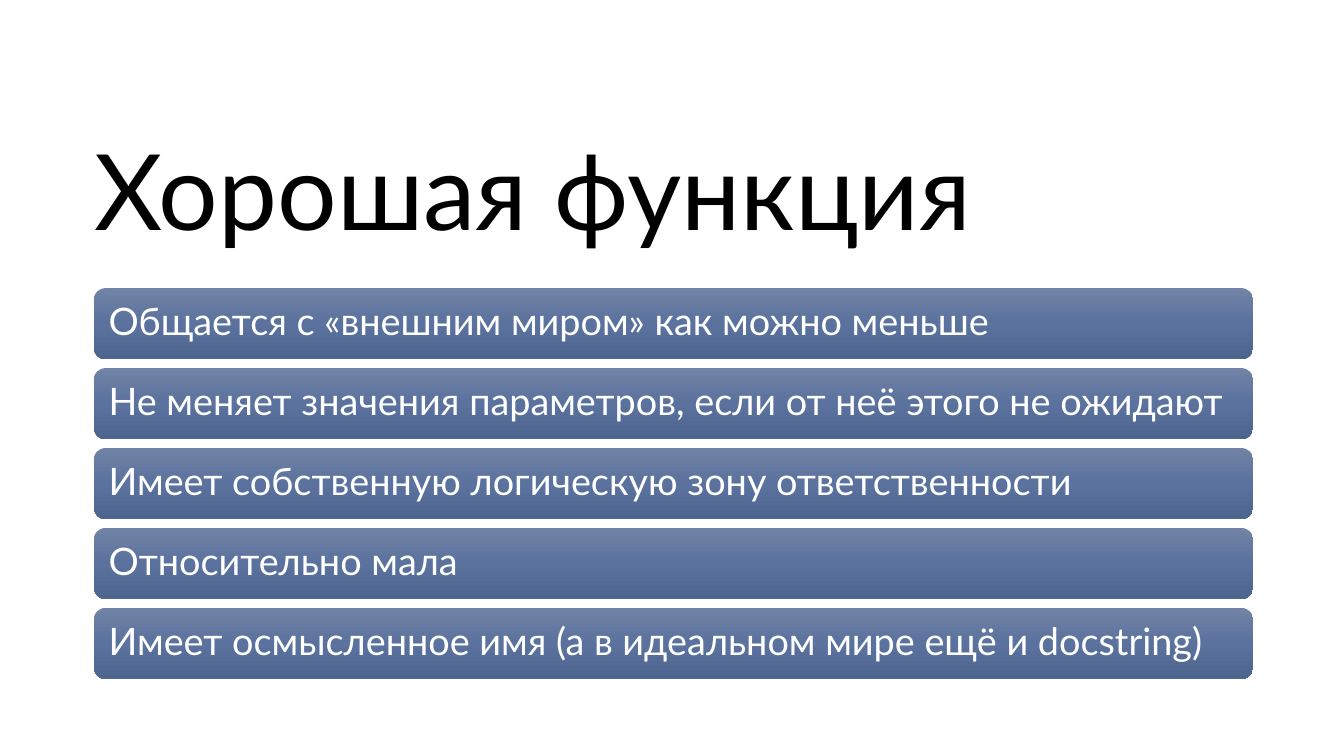
from copy import deepcopy

from pptx import Presentation
from pptx.dml.color import RGBColor
from pptx.enum.shapes import MSO_SHAPE
from pptx.enum.text import MSO_ANCHOR, PP_ALIGN
from pptx.oxml.ns import qn
from pptx.util import Pt

ROUNDED = MSO_SHAPE.ROUNDED_RECTANGLE
MIDDLE = MSO_ANCHOR.MIDDLE
LEFT = PP_ALIGN.LEFT

COLORS = {
    "title": "000000",
    "bar_text": "FFFFFF",
    "bar_top": "7183A6",
    "bar_middle": "5A729D",
    "bar_bottom": "4D658E",
}
BAR_GRADIENT = [(0, "bar_top"), (0.5, "bar_middle"), (1, "bar_bottom")]

QUALITIES = [
    "Общается с «внешним миром» как можно меньше",
    "Не меняет значения параметров, если от неё этого не ожидают",
    "Имеет собственную логическую зону ответственности",
    "Относительно мала",
    "Имеет осмысленное имя (а в идеальном мире ещё и docstring)",
]
BAR_LEFT, BAR_TOP = 67.1, 205.8
BAR_WIDTH, BAR_HEIGHT = 828, 50.9
BAR_PITCH = 57.1


def write_text(shape, text, *, font, size, color, inset=0):
    frame = shape.text_frame
    frame.word_wrap = True
    frame.vertical_anchor = MIDDLE
    frame.margin_left = frame.margin_right = Pt(inset)
    frame.margin_top = frame.margin_bottom = Pt(inset)
    paragraph = frame.paragraphs[0]
    paragraph.alignment = LEFT
    paragraph.line_spacing = 0.9
    run = paragraph.add_run()
    run.text = text
    run.font.name = font
    run.font.size = Pt(size)
    run.font.color.rgb = RGBColor.from_string(COLORS[color])


def fill_gradient(shape, stops):
    """Fill from top to bottom with three (position, colour name) stops."""
    shape.fill.gradient()
    shape.fill.gradient_angle = 270
    stop_list = shape.fill._xPr.find(".//" + qn("a:gsLst"))
    stop_list.insert(1, deepcopy(stop_list[0]))
    for stop, (position, color) in zip(shape.fill.gradient_stops, stops):
        stop.position = position
        stop.color.rgb = RGBColor.from_string(COLORS[color])


class SlideBuilder:
    def __init__(self, slide, font):
        self.slide = slide
        self.font = font

    def title(self, text, left, top, width, height):
        box = self.slide.shapes.add_textbox(Pt(left), Pt(top), Pt(width), Pt(height))
        write_text(box, text, font=self.font, size=75.2, color="title")

    def bar(self, text, left, top, width, height):
        shape = self.slide.shapes.add_shape(
            ROUNDED, Pt(left), Pt(top), Pt(width), Pt(height))
        shape.shadow.inherit = False
        shape.line.fill.background()
        fill_gradient(shape, BAR_GRADIENT)
        write_text(shape, text, font=self.font, size=27, color="bar_text", inset=8)


def main():
    presentation = Presentation()
    presentation.slide_width = Pt(960)
    presentation.slide_height = Pt(540)
    slide = presentation.slides.add_slide(presentation.slide_layouts[6])
    builder = SlideBuilder(slide, "Lato")
    builder.title("Хорошая функция", 67.5, 87.8, 828, 104.4)
    for index, quality in enumerate(QUALITIES):
        builder.bar(quality, BAR_LEFT, BAR_TOP + index * BAR_PITCH,
                    BAR_WIDTH, BAR_HEIGHT)
    presentation.save("out.pptx")


if __name__ == "__main__":
    main()
